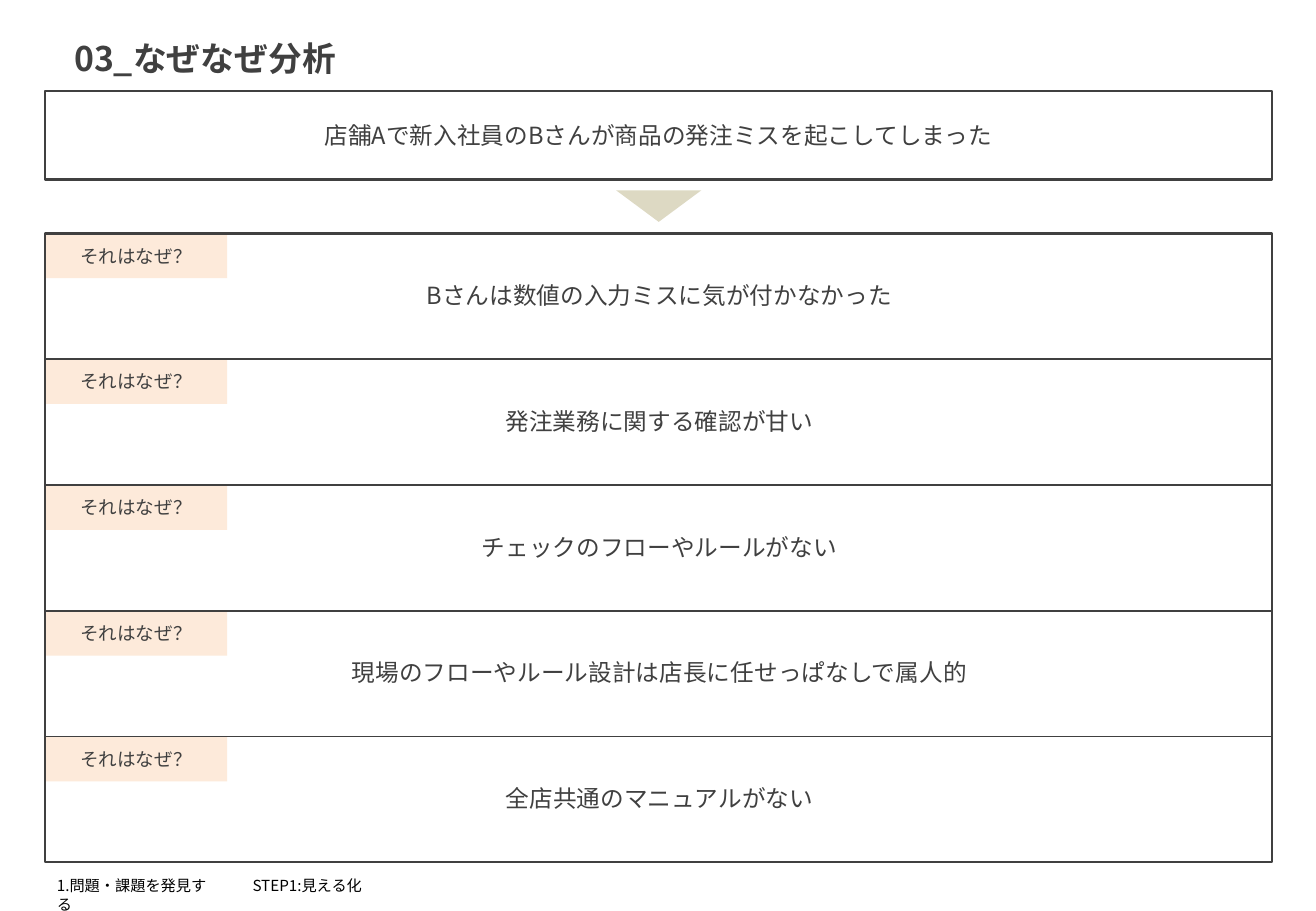
import dataclasses

import pptx
import pptx.dml.color
import pptx.enum.shapes
import pptx.enum.text
import pptx.oxml.ns
import pptx.util
from lxml import etree

Cm = pptx.util.Cm
Pt = pptx.util.Pt
RGB = pptx.dml.color.RGBColor.from_string
SHAPE = pptx.enum.shapes.MSO_SHAPE
ALIGN = pptx.enum.text.PP_ALIGN
ANCHOR = pptx.enum.text.MSO_ANCHOR


@dataclasses.dataclass(frozen=True)
class Theme:
    font: str = "Noto Sans CJK JP"
    ink: str = "404040"
    footer: str = "000000"
    paper: str = "FFFFFF"
    label: str = "FDEADA"
    arrow: str = "DDD9C3"
    title_size: int = 20
    body_size: int = 14
    label_size: int = 11
    footer_size: int = 9
    frame_width: float = 1.5
    divider_width: float = 1


theme = Theme()
deck = pptx.Presentation()
deck.slide_width = Cm(27.51)
deck.slide_height = Cm(19.05)
slide = deck.slides.add_slide(deck.slide_layouts[6])


def add_shape(kind, left, top, width, height, fill=None, line=None):
    shape = slide.shapes.add_shape(kind, Cm(left), Cm(top), Cm(width), Cm(height))
    shape.shadow.inherit = False
    if fill:
        shape.fill.solid()
        shape.fill.fore_color.rgb = RGB(fill)
    else:
        shape.fill.background()
    if line:
        shape.line.color.rgb = RGB(line)
        shape.line.width = Pt(theme.frame_width)
    else:
        shape.line.fill.background()
    return shape


def add_text(text, box=None, shape=None, size=theme.body_size, color=theme.ink,
             bold=False, align=ALIGN.CENTER, anchor=ANCHOR.MIDDLE, wrap=True):
    """Write text into the given shape, or into a new text box at box (in cm)."""
    holder = shape or slide.shapes.add_textbox(*map(Cm, box))
    frame = holder.text_frame
    frame.word_wrap = wrap
    frame.vertical_anchor = anchor
    paragraph = frame.paragraphs[0]
    paragraph.alignment = align
    run = paragraph.add_run()
    run.text = text
    run.font.size = Pt(size)
    run.font.bold = bold
    run.font.color.rgb = RGB(color)
    run.font.name = theme.font
    east_asian = etree.SubElement(run.font._element, pptx.oxml.ns.qn("a:ea"))
    east_asian.set("typeface", theme.font)


left, width = 0.94, 25.65
whys_top, why_height = 4.88, 2.63
answers = [
    "Bさんは数値の入力ミスに気が付かなかった",
    "発注業務に関する確認が甘い",
    "チェックのフローやルールがない",
    "現場のフローやルール設計は店長に任せっぱなしで属人的",
    "全店共通のマニュアルがない",
]

# Title, problem and arrow
add_text("03_なぜなぜ分析", box=(1.3, 0.66, 6.22, 1.12), size=theme.title_size,
         bold=True, align=ALIGN.LEFT, anchor=ANCHOR.TOP, wrap=False)
problem = add_shape(SHAPE.RECTANGLE, left, 1.9, width, 1.85,
                    fill=theme.paper, line=theme.ink)
add_text("店舗Aで新入社員のBさんが商品の発注ミスを起こしてしまった", shape=problem)
arrow = add_shape(SHAPE.ISOSCELES_TRIANGLE, 12.88, 3.98, 1.78, 0.66, fill=theme.arrow)
arrow.rotation = 180

# Chain of whys
for step, answer in enumerate(answers):
    top = whys_top + step * why_height
    label = add_shape(SHAPE.RECTANGLE, left, top, 3.81, 0.94, fill=theme.label)
    add_text("それはなぜ？", shape=label, size=theme.label_size, wrap=False)
    add_text(answer, box=(3.73, top + 0.86, 20.12, 0.86))
    if step > 0:
        divider = slide.shapes.add_connector(
            pptx.enum.shapes.MSO_CONNECTOR.STRAIGHT,
            Cm(left), Cm(top), Cm(left + width), Cm(top))
        divider.line.color.rgb = RGB(theme.ink)
        divider.line.width = Pt(theme.divider_width)
        etree.SubElement(divider._element.spPr, pptx.oxml.ns.qn("a:effectLst"))
add_shape(SHAPE.RECTANGLE, left, whys_top, width, why_height * len(answers),
          line=theme.ink)

# Footer
for text, footer_left, footer_width in [("1.問題・課題を発見する", left, 3.66),
                                        ("STEP1:見える化", 5.03, 2.9)]:
    add_text(text, box=(footer_left, 18.21, footer_width, 0.64),
             size=theme.footer_size, color=theme.footer,
             align=ALIGN.LEFT, anchor=ANCHOR.TOP)

deck.save("out.pptx")
